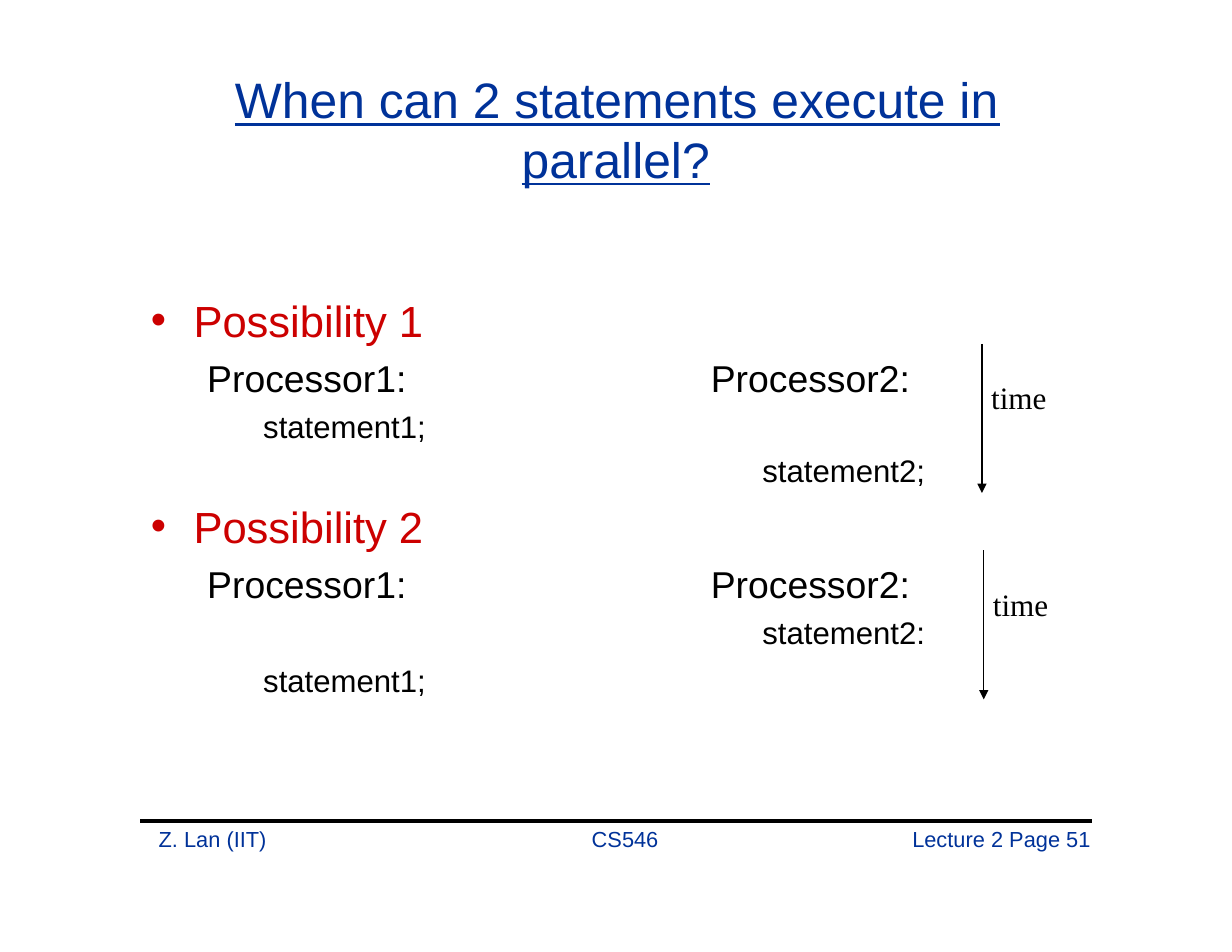
from lxml import etree
from pptx import Presentation
from pptx.dml.color import RGBColor
from pptx.enum import shapes
from pptx.oxml.ns import qn
from pptx.util import Cm, Pt

COLORS = {"blue": "003299", "red": "CC0000", "black": "000000"}

prs = Presentation()
prs.slide_width, prs.slide_height = Cm(27.94), Cm(21.59)
s = prs.slides.add_slide(prs.slide_layouts[6])


def add_text(x, y, w, h, lines, font="Arial", spacing=1.0):
    """Add a text box; each line is text, size, colour, margin, indent, space before."""
    tf = s.shapes.add_textbox(Cm(x), Cm(y), Cm(w), Cm(h)).text_frame
    tf.margin_left = tf.margin_right = tf.margin_top = tf.margin_bottom = 0
    tf.word_wrap = True
    for i, (words, size, color, margin, indent, before) in enumerate(lines):
        p = tf.paragraphs[0] if i == 0 else tf.add_paragraph()
        p.line_spacing, p.space_before = spacing, Pt(before)
        pPr = p._p.get_or_add_pPr()
        pPr.set("marL", str(Cm(margin)))
        pPr.set("indent", str(Cm(indent)))
        if color == "red":
            etree.SubElement(pPr, qn("a:buFont")).set("typeface", "Arial")
            etree.SubElement(pPr, qn("a:buChar")).set("char", "•")
        r = p.add_run()
        r.text = words
        r.font.name, r.font.size = font, Pt(size)
        r.font.color.rgb = RGBColor.from_string(COLORS[color])
    return tf


def add_line(x1, y1, x2, y2, width, arrow=False):
    """Add a black straight line, with an arrowhead at its end if asked."""
    line = s.shapes.add_connector(shapes.MSO_CONNECTOR.STRAIGHT,
                                  Cm(x1), Cm(y1), Cm(x2), Cm(y2))
    line.line.width = Pt(width)
    line.line.color.rgb = RGBColor.from_string(COLORS["black"])
    if arrow:
        etree.SubElement(line.line._get_or_add_ln(), qn("a:tailEnd")).set("type", "triangle")
    etree.SubElement(line._element.spPr, qn("a:effectLst"))


# Title: the hanging indent places both lines
title = add_text(3.78, 1.57, 20.4, 3, [
    ("When can 2 statements execute in parallel?", 32, "blue", 8.05, -6.5, 0)])
title.paragraphs[0].runs[0].font.underline = True

# Processor 1 column
possibilities = []
for number, gap_above, statement_gap in [(1, 0, 4.8), (2, 35.3, 35.7)]:
    possibilities += [
        (f"Possibility {number}", 28, "red", 0.99, -0.97, gap_above),
        ("Processor1:", 24, "black", 1.3, 0, 5.9),
        ("statement1;", 20, "black", 2.57, 0, statement_gap),
    ]
add_text(3.4, 6.66, 7, 9.2, possibilities)

# Processor 2 column and time arrows
for y, statement, gap, x, width in [(8.05, "statement2;", 33, 22.27, 1.25),
                                    (12.73, "statement2:", 4.8, 22.31, 0.75)]:
    add_text(16.12, y, 5.4, 2.1, [
        ("Processor2:", 24, "black", 0, 0, 0),
        (statement, 20, "black", 1.17, 0, gap),
    ])
    add_line(x, y - 0.25, x, y + 3.13, width, arrow=True)
    add_text(x + 0.21, y + 0.54, 1.6, 0.9,
             [("time", 20, "black", 0, 0, 0)], "Times New Roman")

# Footer
add_line(3.18, 18.62, 24.77, 18.62, 2)
for x, words in [(3.6, "Z. Lan (IIT)"), (13.42, "CS546"), (20.69, "Lecture 2 Page 51")]:
    add_text(x, 18.8, 4.5, 0.56, [(words, 14, "blue", 0, 0, 0)], spacing=Pt(14.7))

prs.save("out.pptx")
